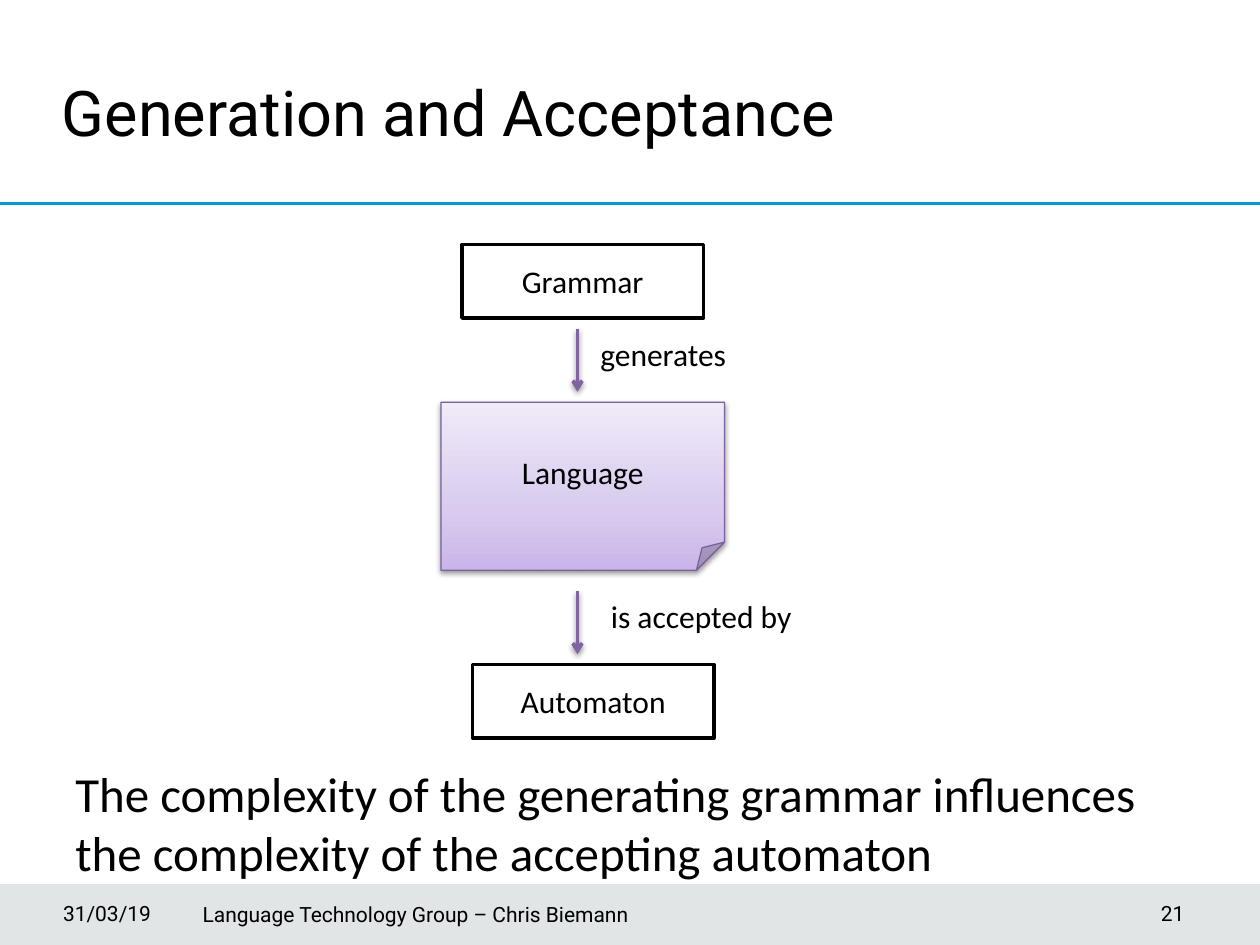
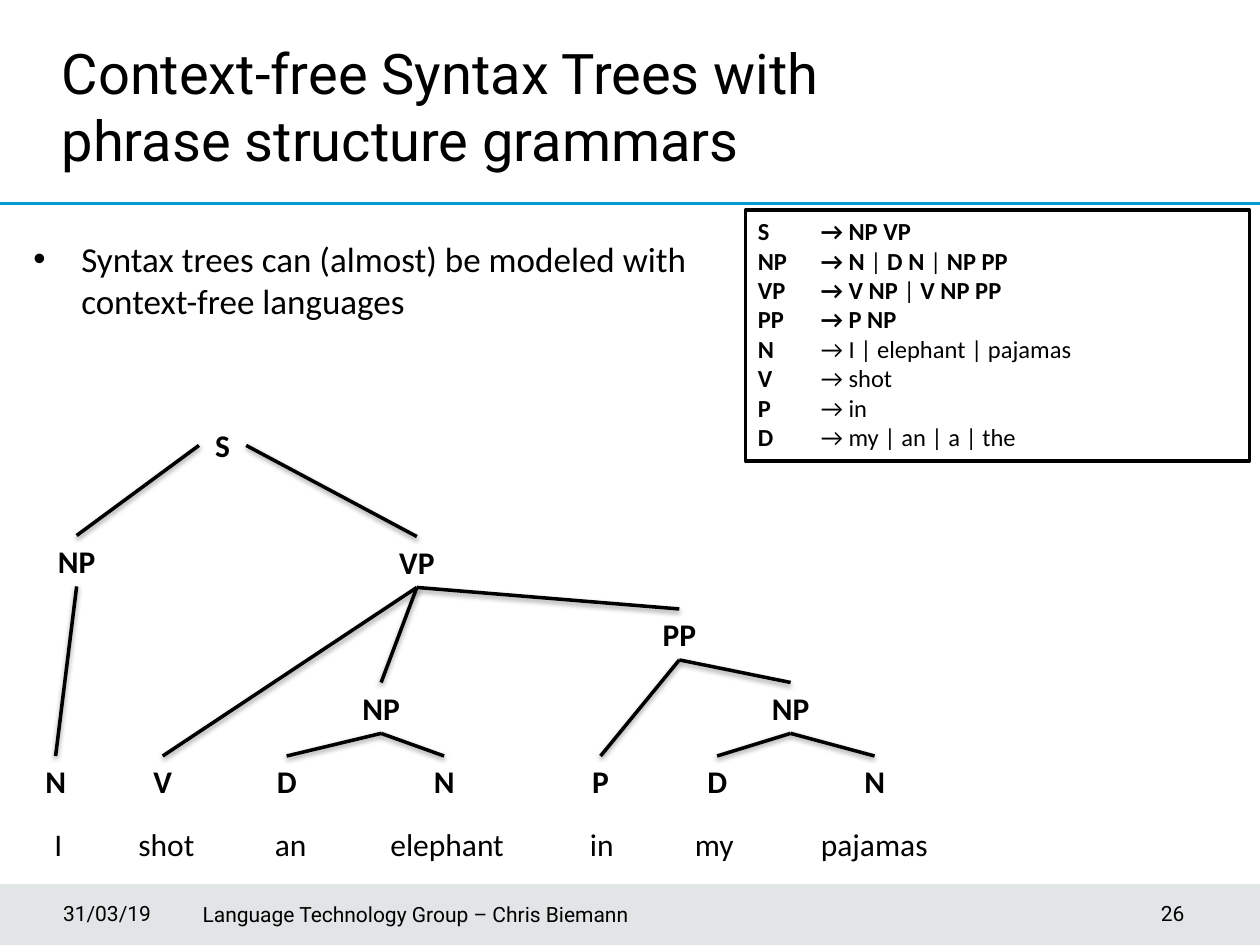
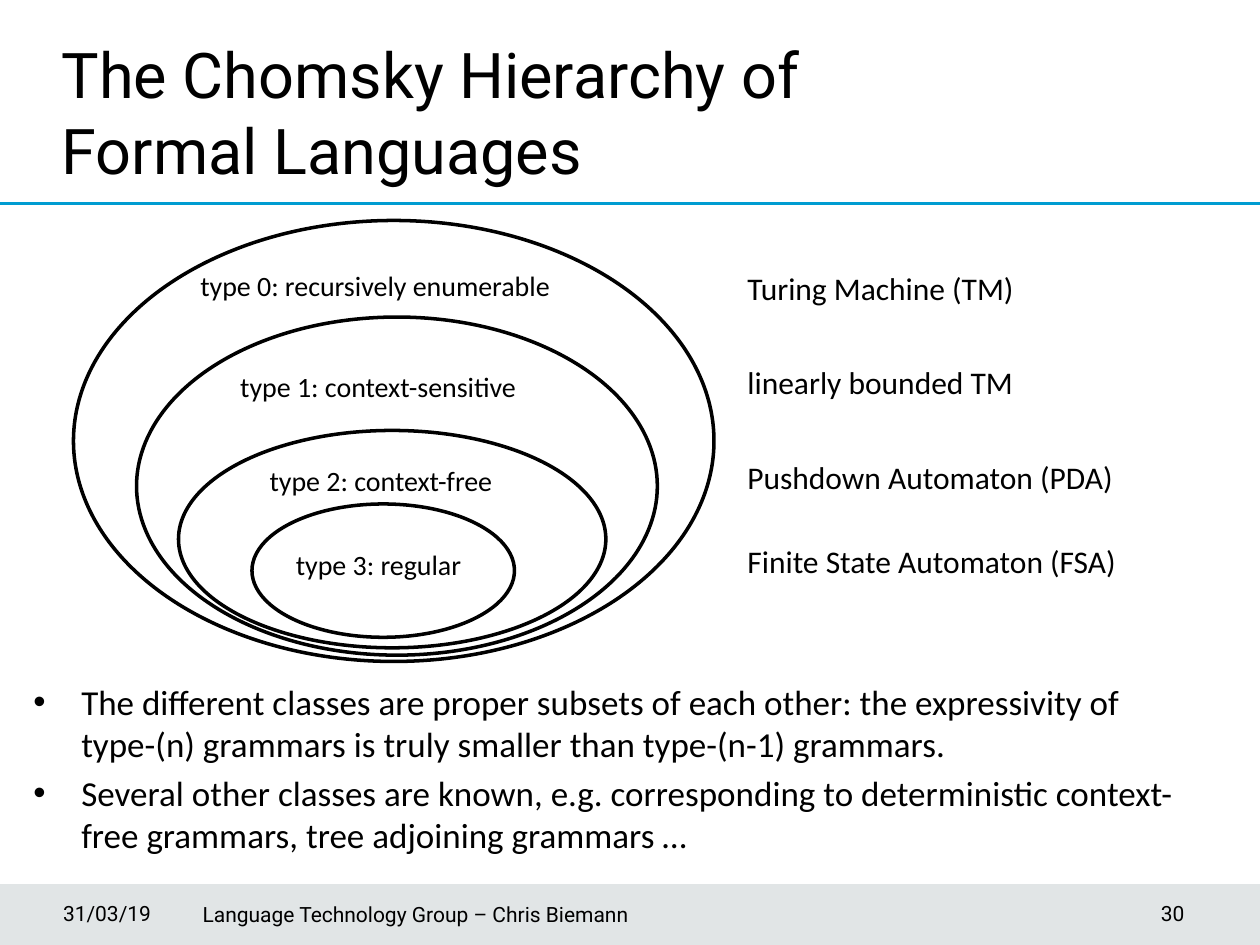
from itertools import groupby

from pptx import Presentation
from pptx import util as u
from pptx.dml.color import RGBColor
from pptx.enum import shapes, text
from pptx.oxml import parse_xml
from pptx.oxml.ns import nsdecls, qn

BLACK = RGBColor(0x00, 0x00, 0x00)
WHITE = RGBColor(0xFF, 0xFF, 0xFF)
BLUE = RGBColor(0x00, 0x9C, 0xD1)
SLATE = RGBColor(0x3B, 0x51, 0x5B)
PURPLE = RGBColor(0x80, 0x64, 0xA2)
PURPLE_EDGE = RGBColor(0x7D, 0x60, 0xA0)
LILAC = RGBColor(0xC9, 0xB5, 0xE8)
LILAC_MIDDLE = RGBColor(0xD8, 0xCB, 0xEE)
LILAC_LIGHT = RGBColor(0xF0, 0xEA, 0xF9)

COLUMNS, ROWS = 120, 90
LABEL_HEIGHT = 4.85
HEADING_FONT, BODY_FONT = "Roboto", "Calibri"
LEFT, CENTER, RIGHT = text.PP_ALIGN.LEFT, text.PP_ALIGN.CENTER, text.PP_ALIGN.RIGHT
TOP, MIDDLE = text.MSO_ANCHOR.TOP, text.MSO_ANCHOR.MIDDLE
BOTTOM_SITE, TOP_SITE, LEFT_SITE, RIGHT_SITE = 2, 0, 1, 3


class Deck:
    def __init__(self):
        self.presentation = Presentation()
        self.presentation.slide_width = u.Inches(10)
        self.presentation.slide_height = u.Inches(7.5)
        self.column = self.presentation.slide_width / COLUMNS
        self.row = self.presentation.slide_height / ROWS
        self.slide = None

    def place(self, *lengths):
        units = (self.column, self.row) * 2
        return [round(length * unit) for length, unit in zip(lengths, units)]

    def start(self, title, number, top, size=36):
        self.slide = self.presentation.slides.add_slide(self.presentation.slide_layouts[6])
        band = self.shape(shapes.MSO_SHAPE.RECTANGLE, (0, 84.2, COLUMNS, 5.8), fill=SLATE, line=None)
        color = band._element.spPr.find(qn("a:solidFill")).find(qn("a:srgbClr"))
        color.append(parse_xml(f'<a:alpha {nsdecls("a")} val="15000"/>'))
        self.line((0, 19.4), (COLUMNS, 19.4), BLUE, shadow=False)
        self.text(title, (4.7, top, 90.2, 11), size, font=HEADING_FONT)
        for words, box, align in (
            ("31/03/19", (6, 84.6, 11.9, 4.8), LEFT),
            ("Language Technology Group – Chris Biemann", (19.3, 84.7, 59, 4.8), LEFT),
            (number, (95.8, 84.6, 18.2, 4.8), RIGHT),
        ):
            footer = self.text(words, box, 12, font=HEADING_FONT, align=align, anchor=MIDDLE)
            if align == LEFT:
                footer.text_frame.margin_left = 0

    def style(self, paragraph, size, font=BODY_FONT, bold=None, align=LEFT):
        paragraph.alignment = align
        for run in paragraph.runs:
            run.font.size = u.Pt(size)
            run.font.name = font
            run.font.color.rgb = BLACK
            if bold is not None:
                run.font.bold = bold

    def text(self, words, box, size, font=BODY_FONT, bold=None, align=LEFT, anchor=TOP, wrap=True):
        shape = self.slide.shapes.add_textbox(*self.place(*box))
        frame = shape.text_frame
        frame.text = words
        frame.word_wrap = wrap
        frame.vertical_anchor = anchor
        for paragraph in frame.paragraphs:
            self.style(paragraph, size, font, bold, align)
        return shape

    def label(self, words, left, top, width, size=18, bold=False, align=LEFT):
        return self.text(words, (left, top, width, LABEL_HEIGHT), size, bold=bold, align=align, wrap=False)

    def bullets(self, items, box):
        shape = self.text("\n".join(items), box, 20)
        for paragraph in shape.text_frame.paragraphs:
            paragraph.space_before = u.Pt(4)
            properties = paragraph._p.get_or_add_pPr()
            indent = u.Inches(0.38)
            properties.set("marL", str(indent))
            properties.set("indent", str(-indent))
            properties.append(parse_xml(f'<a:buFont {nsdecls("a")} typeface="Arial"/>'))
            properties.append(parse_xml(f'<a:buChar {nsdecls("a")} char="•"/>'))

    def shape(self, kind, box, words="", fill=WHITE, line=BLACK, weight=2):
        shape = self.slide.shapes.add_shape(kind, *self.place(*box))
        shape.shadow.inherit = False
        if fill is None:
            shape.fill.background()
        else:
            shape.fill.solid()
            shape.fill.fore_color.rgb = fill
        if line is None:
            shape.line.fill.background()
        else:
            shape.line.color.rgb = line
            shape.line.width = u.Pt(weight)
        if words:
            shape.text_frame.text = words
            shape.text_frame.vertical_anchor = MIDDLE
            self.style(shape.text_frame.paragraphs[0], 18, align=CENTER)
        return shape

    def note(self, words, box):
        shape = self.shape(shapes.MSO_SHAPE.FOLDED_CORNER, box, words, None, PURPLE_EDGE, 0.75)
        stops = "".join(
            f'<a:gs pos="{share * 1000}"><a:srgbClr val="{color}"/></a:gs>'
            for share, color in ((0, LILAC), (35, LILAC_MIDDLE), (100, LILAC_LIGHT))
        )
        properties = shape._element.spPr
        properties.replace(
            properties.find(qn("a:noFill")),
            parse_xml(f'<a:gradFill {nsdecls("a")} rotWithShape="1"><a:gsLst>{stops}</a:gsLst>'
                      '<a:lin ang="16200000" scaled="0"/></a:gradFill>'),
        )
        properties.remove(properties.find(qn("a:effectLst")))
        self.effects(shape, True)

    def effects(self, shape, shadow):
        effect = (
            f'<a:outerShdw blurRad="{u.Pt(3.1)}" dist="{u.Pt(1.6)}" dir="5400000" rotWithShape="0">'
            '<a:srgbClr val="000000"><a:alpha val="38000"/></a:srgbClr></a:outerShdw>'
        ) if shadow else ""
        shape._element.spPr.append(parse_xml(f'<a:effectLst {nsdecls("a")}>{effect}</a:effectLst>'))

    def line(self, start, end, color=BLACK, shadow=True, arrow=False):
        connector = self.slide.shapes.add_connector(
            shapes.MSO_CONNECTOR.STRAIGHT, *self.place(*start, *end))
        connector.line.color.rgb = color
        connector.line.width = u.Pt(2)
        if arrow:
            outline = connector._element.spPr.find(qn("a:ln"))
            outline.append(parse_xml(f'<a:tailEnd {nsdecls("a")} type="arrow"/>'))
        self.effects(connector, shadow)
        return connector

    def branch(self, parent, child, site=BOTTOM_SITE):
        connector = self.line((0, 0), (1, 1))
        connector.begin_connect(parent, site)
        connector.end_connect(child, TOP_SITE)

    def rules(self, rows, box):
        frame = self.shape(shapes.MSO_SHAPE.RECTANGLE, box).text_frame
        frame.word_wrap = True
        frame.vertical_anchor = TOP
        for index, segments in enumerate(rows):
            paragraph = frame.add_paragraph() if index else frame.paragraphs[0]
            for words, bold in segments:
                run = paragraph.add_run()
                run.text = words
                run.font.bold = bold
            self.style(paragraph, 14)
            paragraph._p.get_or_add_pPr().append(parse_xml(
                f'<a:tabLst {nsdecls("a")}><a:tab pos="{u.Inches(0.5)}" algn="l"/></a:tabLst>'))


def build_generation(deck):
    deck.start("Generation and Acceptance", "21", 6.4)
    deck.text("The complexity of the generating grammar influences the complexity of the accepting automaton",
              (6, 72.1, 107.8, 6.1), 28)
    deck.note("Language", (42, 38.3, 27, 16))
    for words, left, top in (("Grammar", 44, 23.3), ("Automaton", 45, 63.3)):
        deck.shape(shapes.MSO_SHAPE.RECTANGLE, (left, top, 23, 7), words)
    for words, left, top, width in (("generates", 56, 31.3, 15.8), ("is accepted by", 57, 56.3, 21.8)):
        deck.line((55, top), (55, top + 6), PURPLE, arrow=True)
        deck.label(words, left, top, width)


def build_syntax_tree(deck):
    deck.start("Context-free Syntax Trees with phrase structure grammars", "26", 3.1, 32)
    deck.bullets(["Syntax trees can (almost) be modeled with context-free languages"], (2, 22, 68, 11))

    sentence = (("I", 4, 3.2), ("shot", 12, 8.2), ("an", 25, 5.8), ("elephant", 36, 14),
                ("in", 55, 4.8), ("my", 65, 6.5), ("pajamas", 77, 13.9))
    for word, left, width in sentence:
        deck.label(word, left, 78, width)

    leaf_row = 72
    nodes = {
        "sentence": ("S", 21.2, 40), "subject": ("NP", 7.3, 51), "predicate": ("VP", 39.7, 51.1),
        "place": ("PP", 64.7, 58), "object": ("NP", 36.3, 65), "clothes": ("NP", 75.3, 65),
        "I": ("N", 5.3, leaf_row), "shot": ("V", 15.5, leaf_row), "an": ("D", 27.3, leaf_row),
        "elephant": ("N", 42.3, leaf_row), "in": ("P", 57.2, leaf_row),
        "my": ("D", 68.3, leaf_row), "pajamas": ("N", 83.3, leaf_row),
    }
    widths = {1: 4.5, 2: 6.6}
    labels = {}
    for name, (symbol, middle, top) in nodes.items():
        width = widths[len(symbol)]
        labels[name] = deck.label(symbol, middle - width / 2, top, width, bold=True, align=CENTER)
    deck.branch(labels["sentence"], labels["subject"], LEFT_SITE)
    deck.branch(labels["sentence"], labels["predicate"], RIGHT_SITE)
    children = {
        "subject": ("I",), "predicate": ("shot", "object", "place"), "object": ("an", "elephant"),
        "place": ("in", "clothes"), "clothes": ("my", "pajamas"),
    }
    for parent, names in children.items():
        for name in names:
            deck.branch(labels[parent], labels[name])

    phrases = {"S": "NP VP", "NP": "N | D N | NP PP", "VP": "V NP | V NP PP", "PP": "P NP"}
    lexicon = {"N": "I | elephant | pajamas", "V": "shot", "P": "in", "D": "my | an | a | the"}
    rows = [
        [("".join(part), bold) for bold, part in groupby(f"{symbol}\t→ {result}", lambda letter: letter != "|")]
        for symbol, result in phrases.items()
    ]
    rows += [[(f"{symbol}\t", True), (f"→ {result}", False)] for symbol, result in lexicon.items()]
    deck.rules(rows, (71, 20, 48, 23.9))


def build_hierarchy(deck):
    deck.start("The Chomsky Hierarchy of Formal Languages", "30", 2.8)
    deck.bullets([
        "The different classes are proper subsets of each other: the expressivity of "
        "type-(n) grammars is truly smaller than type-(n-1) grammars.",
        "Several other classes are known, e.g. corresponding to deterministic "
        "context-free grammars, tree adjoining grammars …",
    ], (2, 64.2, 113.4, 11.8))
    for ellipse in ((7, 21, 61, 42), (13, 30.2, 49.6, 32.2), (17, 41, 40.7, 20.7), (24, 48, 25, 12.7)):
        deck.shape(shapes.MSO_SHAPE.OVAL, ellipse, fill=None)
    language_types = (
        ("type 0: recursively enumerable", 17.9, 25, 39.1),
        ("type 1: context-sensitive", 21.7, 34.6, 31.3),
        ("type 2: context-free", 24.5, 43.6, 25.4),
        ("type 3: regular", 27, 51.6, 19.7),
    )
    for words, left, top, width in language_types:
        deck.label(words, left, top, width, 16)
    machines = (
        ("Turing Machine (TM)", 25, 30.5), ("linearly bounded TM", 34, 29.8),
        ("Pushdown Automaton (PDA)", 43, 41), ("Finite State Automaton (FSA)", 51, 41.9),
    )
    for words, top, width in machines:
        deck.label(words, 70, top, width)


def main():
    deck = Deck()
    build_generation(deck)
    build_syntax_tree(deck)
    build_hierarchy(deck)
    deck.presentation.save("out.pptx")


if __name__ == "__main__":
    main()
